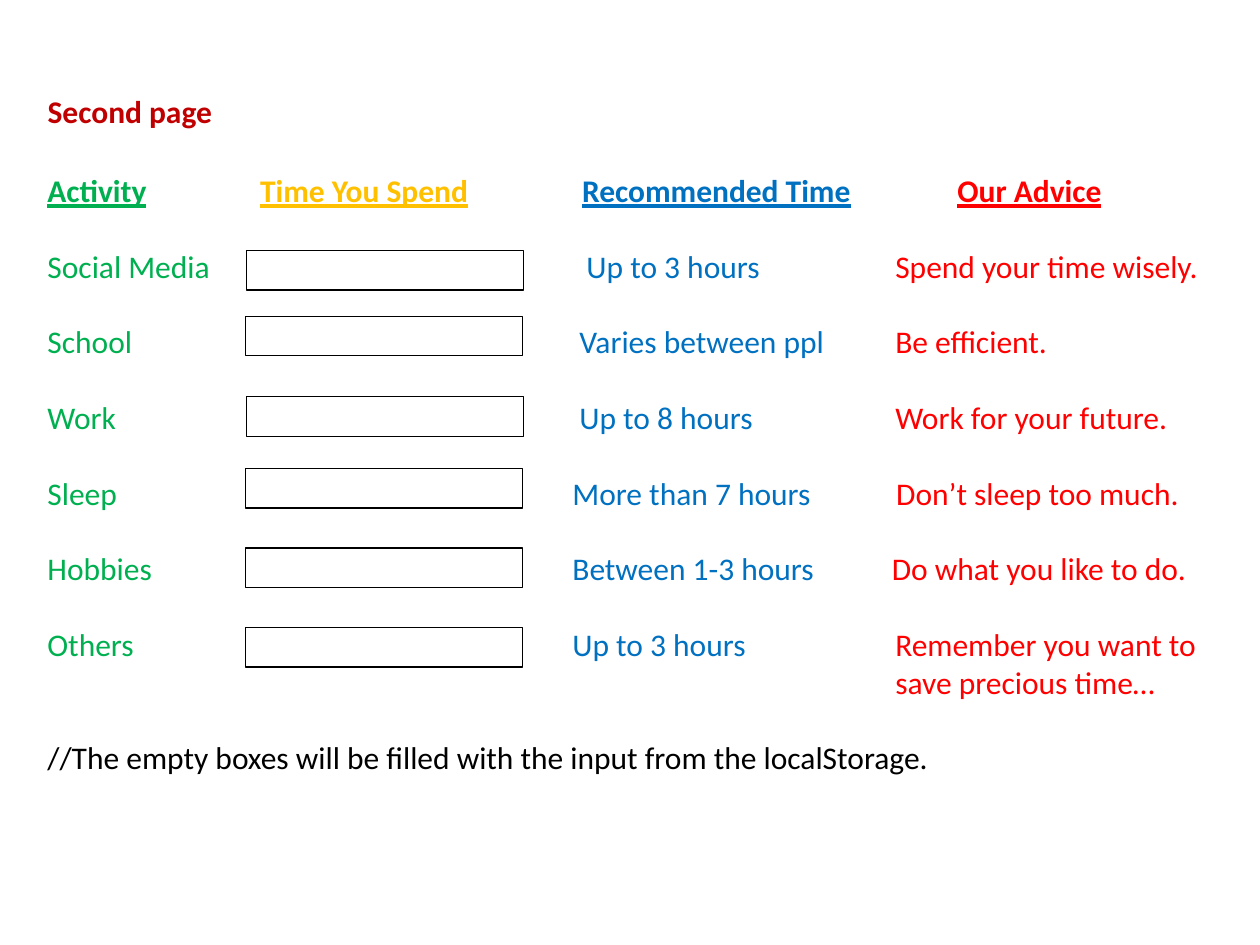
"""Build the activity time and advice slide."""
import pptx
import pptx.dml.color
import pptx.enum.shapes
import pptx.enum.text
import pptx.oxml.ns
import pptx.util
import lxml.etree

Pt = pptx.util.Pt
RGBColor = pptx.dml.color.RGBColor
DARK_RED = RGBColor(0xC0, 0x00, 0x00)
GREEN = RGBColor(0x00, 0xB0, 0x50)
AMBER = RGBColor(0xFF, 0xC0, 0x00)
BLUE = RGBColor(0x00, 0x70, 0xC0)
RED = RGBColor(0xFF, 0x00, 0x00)
BLACK = RGBColor(0x00, 0x00, 0x00)
LINE_HEIGHT = 21.6


def format_paragraph(paragraph, tab_stops=()):
    paragraph.alignment = pptx.enum.text.PP_ALIGN.LEFT
    paragraph.line_spacing = Pt(LINE_HEIGHT)
    if tab_stops:
        properties = paragraph._p.get_or_add_pPr()
        tabs = lxml.etree.SubElement(properties, pptx.oxml.ns.qn("a:tabLst"))
        for stop in tab_stops:
            tab = lxml.etree.SubElement(tabs, pptx.oxml.ns.qn("a:tab"))
            tab.set("pos", str(int(Pt(stop))))
            tab.set("algn", "l")
    paragraph.font.name = "Calibri"
    paragraph.font.size = Pt(18)


presentation = pptx.Presentation()
presentation.slide_width = Pt(720)
presentation.slide_height = Pt(540)
slide = presentation.slides.add_slide(presentation.slide_layouts[5])

page_title = slide.shapes.title
page_title.left, page_title.top = Pt(20), Pt(49)
page_title.width, page_title.height = Pt(170), Pt(29)
page_title.text_frame.text = "Second page"
page_title.text_frame.vertical_anchor = pptx.enum.text.MSO_ANCHOR.TOP
heading = page_title.text_frame.paragraphs[0]
format_paragraph(heading)
heading.font.bold = True
heading.font.color.rgb = DARK_RED

header = [("Activity", GREEN), ("Time You Spend", AMBER),
          ("Recommended Time", BLUE), ("Our Advice", RED)]
activities = [
    ("Social Media", "Up to 3 hours", "Spend your time wisely.", 308, 484.5),
    ("School", "Varies between ppl", "Be efficient.", 304, 484.5),
    ("Work", "Up to 8 hours", "Work for your future.", 304, 484.5),
    ("Sleep", "More than 7 hours", "Don’t sleep too much.", 300, 485),
    ("Hobbies", "Between 1-3 hours", "Do what you like to do.", 300, 482.5),
    ("Others", "Up to 3 hours",
     "Remember you want to\v\t\tsave precious time…", 300, 484.5),
]
lines = [(header, (121.5, 305.5, 520), True)]
for activity, recommended, advice, *stops in activities:
    cells = [(activity, GREEN), (recommended, BLUE), (advice, RED)]
    lines.append((cells, stops, False))
lines.append(([("//The empty boxes will be filled with the input "
                "from the localStorage.", BLACK)], (), False))

overview = slide.shapes.add_textbox(Pt(20), Pt(94.3), Pt(686), Pt(356.4)).text_frame
overview.word_wrap = True
for number, (cells, stops, is_header) in enumerate(lines):
    line = overview.paragraphs[0] if number == 0 else overview.add_paragraph()
    line.space_after = Pt(LINE_HEIGHT)
    format_paragraph(line, stops)
    for column, (words, color) in enumerate(cells):
        if column:
            line.add_run().text = "\t"
        for part, piece in enumerate(words.split("\v")):
            if part:
                line.add_line_break()
            run = line.add_run()
            run.text = piece
            run.font.color.rgb = color
            if is_header:
                run.font.bold = True
                run.font.underline = True

input_positions = [(141, 143.3), (140.4, 180.7), (141, 226.8),
                   (140.4, 267.8), (140.4, 313.2), (140.4, 358.6)]
for left, top in input_positions:
    time_box = slide.shapes.add_shape(
        pptx.enum.shapes.MSO_SHAPE.RECTANGLE, Pt(left), Pt(top), Pt(158.4), Pt(22.5))
    time_box.shadow.inherit = False
    time_box.fill.background()
    time_box.line.color.rgb = BLACK
    time_box.line.width = Pt(0.75)

presentation.save("out.pptx")
